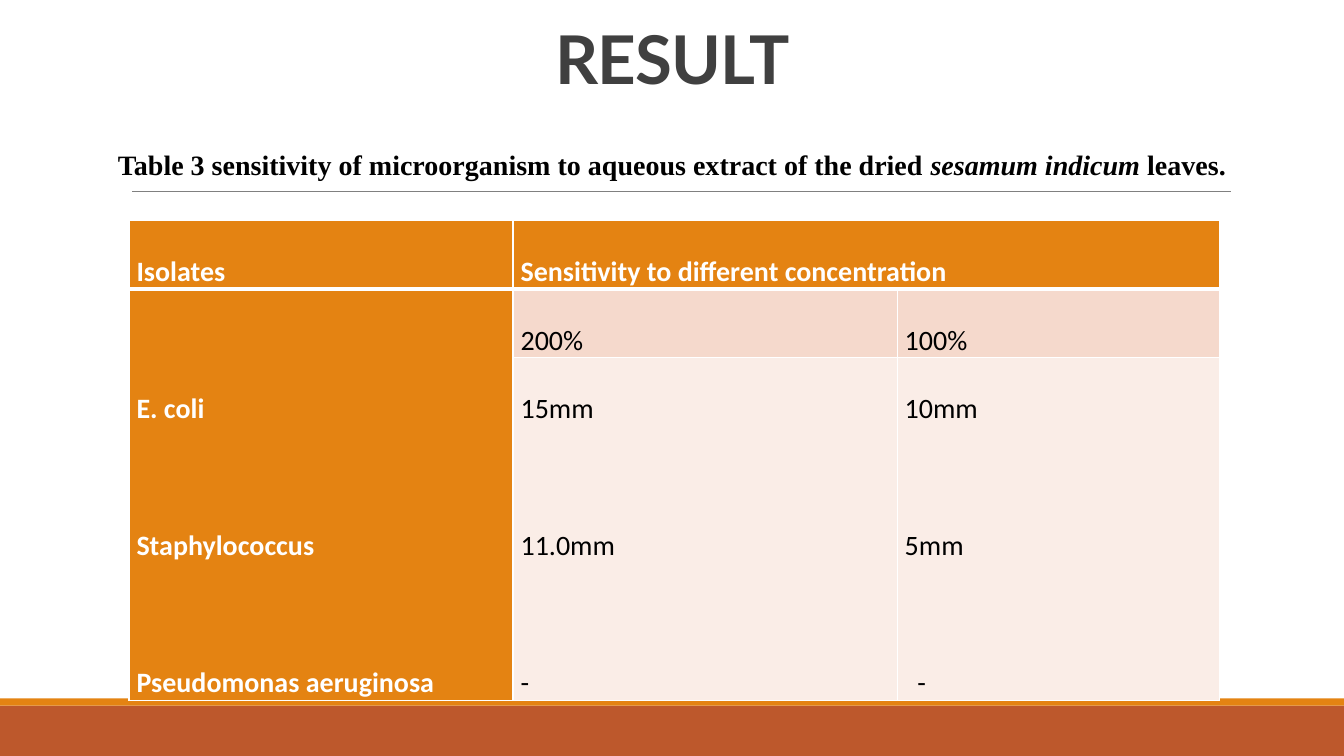
import pptx
import pptx.util
import pptx.dml.color
import pptx.enum.shapes
import pptx.enum.text
import lxml.etree

Cm, Pt = pptx.util.Cm, pptx.util.Pt
RGB = pptx.dml.color.RGBColor
ALIGN = pptx.enum.text.PP_ALIGN
ANCHOR = pptx.enum.text.MSO_ANCHOR

WHITE, BLACK = RGB(255, 255, 255), RGB(0, 0, 0)
DARK, GREY = RGB(0x40, 0x40, 0x40), RGB(0x80, 0x80, 0x80)
RUST, AMBER = RGB(0xBD, 0x58, 0x2C), RGB(0xE4, 0x83, 0x12)
ROSE, PALE = RGB(0xF5, 0xD9, 0xCC), RGB(0xFA, 0xED, 0xE7)

TITLE = "RESULT"
CAPTION = [
    ("Table 3 sensitivity of microorganism to aqueous extract of the dried ", False),
    ("sesamum indicum ", True),
    ("leaves.", False),
]
ROWS = [
    [["Isolates"], ["Sensitivity to different concentration"], []],
    [["E. coli", "Staphylococcus", "Pseudomonas aeruginosa"], ["200%"], ["100%"]],
    [[], ["15mm", "11.0mm", "-"], ["10mm", "5mm", "-"]],
]
MERGES = [((0, 1), (0, 2)), ((1, 0), (2, 0))]
COLS = [9.68, 9.68, 8.13]
HIGHS = [1.47, 1.47, 8.59]
BARS = [(17.78, 1.27, RUST), (17.6, 0.18, AMBER)]
WIDE, HIGH = 33.87, 19.05
LINE = Pt(48.8)
DENT = Cm(0.32)


def add_run(para, text, font, size, color, bold=True, slant=False):
    """Add one formatted run to a paragraph."""
    run = para.add_run()
    run.text = text
    run.font.name, run.font.size = font, Pt(size)
    run.font.color.rgb = color
    run.font.bold, run.font.italic = bold, slant
    return run


def set_edge(cell, side, width):
    """Draw one white border of a cell."""
    props = cell._tc.get_or_add_tcPr()
    edge = lxml.etree.SubElement(props, pptx.oxml.ns.qn("a:ln" + side), w=str(Pt(width)))
    fill = lxml.etree.SubElement(edge, pptx.oxml.ns.qn("a:solidFill"))
    lxml.etree.SubElement(fill, pptx.oxml.ns.qn("a:srgbClr"), val=str(WHITE))


def fill_cell(cell, row, col, lines):
    """Format one table cell and write its lines."""
    head = row == 0 or col == 0
    for side in "LRTB":
        thick = (row, side) in ((0, "B"), (1, "T"))
        set_edge(cell, side, 3 if thick else 1)
    cell.fill.solid()
    cell.fill.fore_color.rgb = AMBER if head else (ROSE, PALE)[row - 1]
    cell.margin_left = cell.margin_right = Cm(0.19)
    cell.margin_top = cell.margin_bottom = 0
    cell.vertical_anchor = ANCHOR.BOTTOM
    for i, text in enumerate(lines):
        frame = cell.text_frame
        para = frame.add_paragraph() if i else frame.paragraphs[0]
        para.alignment, para.line_spacing = ALIGN.JUSTIFY, 2.0
        if i:
            para.space_before = LINE
        if text == "-" and col == 2:
            para._p.get_or_add_pPr().set("marL", str(DENT))
        add_run(para, text, "Calibri", 20, WHITE if head else BLACK, head)


def add_base(slide):
    """Add the bottom bars and the rule."""
    for top, high, color in BARS:
        bar = slide.shapes.add_shape(
            pptx.enum.shapes.MSO_SHAPE.RECTANGLE, 0, Cm(top), Cm(WIDE), Cm(high))
        bar.shadow.inherit = False
        bar.fill.solid()
        bar.fill.fore_color.rgb = color
        bar.line.fill.background()
    rule = slide.shapes.add_connector(
        pptx.enum.shapes.MSO_CONNECTOR.STRAIGHT, Cm(3.33), Cm(4.82), Cm(31.01), Cm(4.82))
    rule.line.color.rgb, rule.line.width = GREY, Pt(0.5)
    lxml.etree.SubElement(rule._element.spPr, pptx.oxml.ns.qn("a:effectLst"))


def add_title(slide):
    """Place and format the title."""
    title = slide.shapes.title
    title.left, title.top = Cm(2.34), Cm(0.38)
    title.width, title.height = Cm(29.21), Cm(2.21)
    frame = title.text_frame
    frame.vertical_anchor = ANCHOR.BOTTOM
    frame.auto_size = pptx.enum.text.MSO_AUTO_SIZE.NONE
    para = frame.paragraphs[0]
    para.alignment, para.line_spacing = ALIGN.CENTER, 0.85
    run = add_run(para, TITLE, "Lato", 48, DARK)
    run._r.get_or_add_rPr().set("spc", "-50")


def add_grid(slide):
    """Add the table of results."""
    grid = slide.shapes.add_table(
        len(ROWS), len(COLS), Cm(3.25), Cm(5.56), Cm(sum(COLS)), Cm(sum(HIGHS))).table
    for col, wide in zip(grid.columns, COLS):
        col.width = Cm(wide)
    for row, high in zip(grid.rows, HIGHS):
        row.height = Cm(high)
    for first, last in MERGES:
        grid.cell(*first).merge(grid.cell(*last))
    for r, row in enumerate(ROWS):
        for c, lines in enumerate(row):
            fill_cell(grid.cell(r, c), r, c, lines)


def add_note(slide):
    """Add the caption above the table."""
    box = slide.shapes.add_textbox(Cm(2.72), Cm(3.58), Cm(32.08), Cm(1.96))
    frame = box.text_frame
    frame.word_wrap = True
    frame.vertical_anchor = ANCHOR.TOP
    for text, slant in CAPTION:
        add_run(frame.paragraphs[0], text, "Times New Roman", 20, BLACK, True, slant)


def main():
    """Build the slide and save it."""
    deck = pptx.Presentation()
    deck.slide_width, deck.slide_height = Cm(WIDE), Cm(HIGH)
    slide = deck.slides.add_slide(deck.slide_layouts[5])
    add_base(slide)
    add_title(slide)
    add_grid(slide)
    add_note(slide)
    deck.save("out.pptx")


if __name__ == "__main__":
    main()
